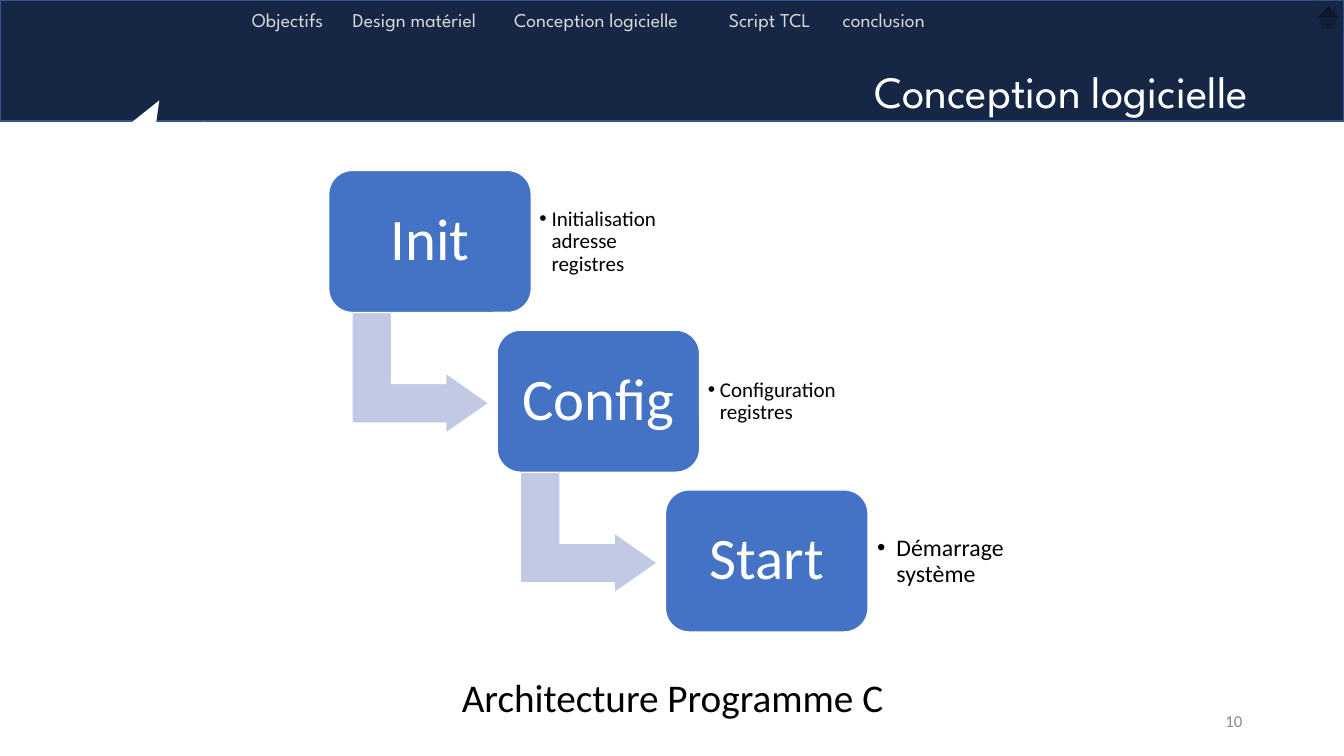
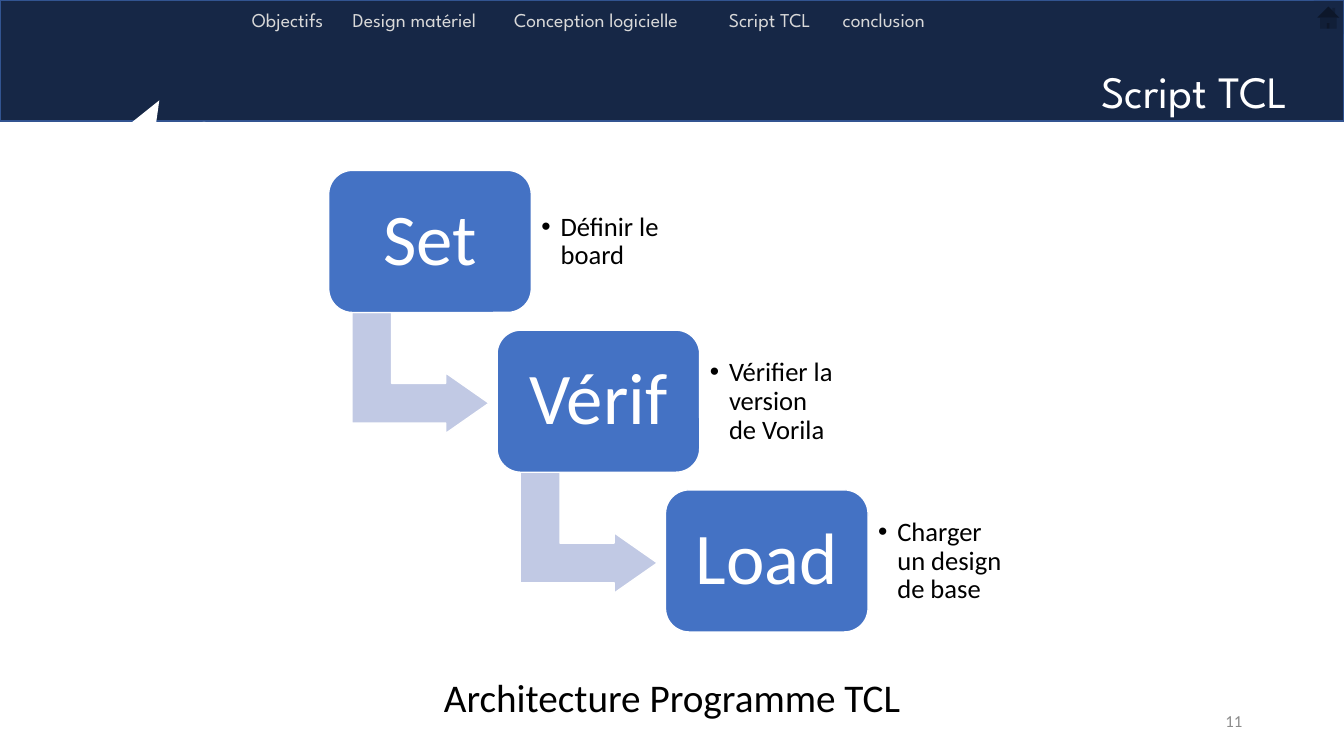
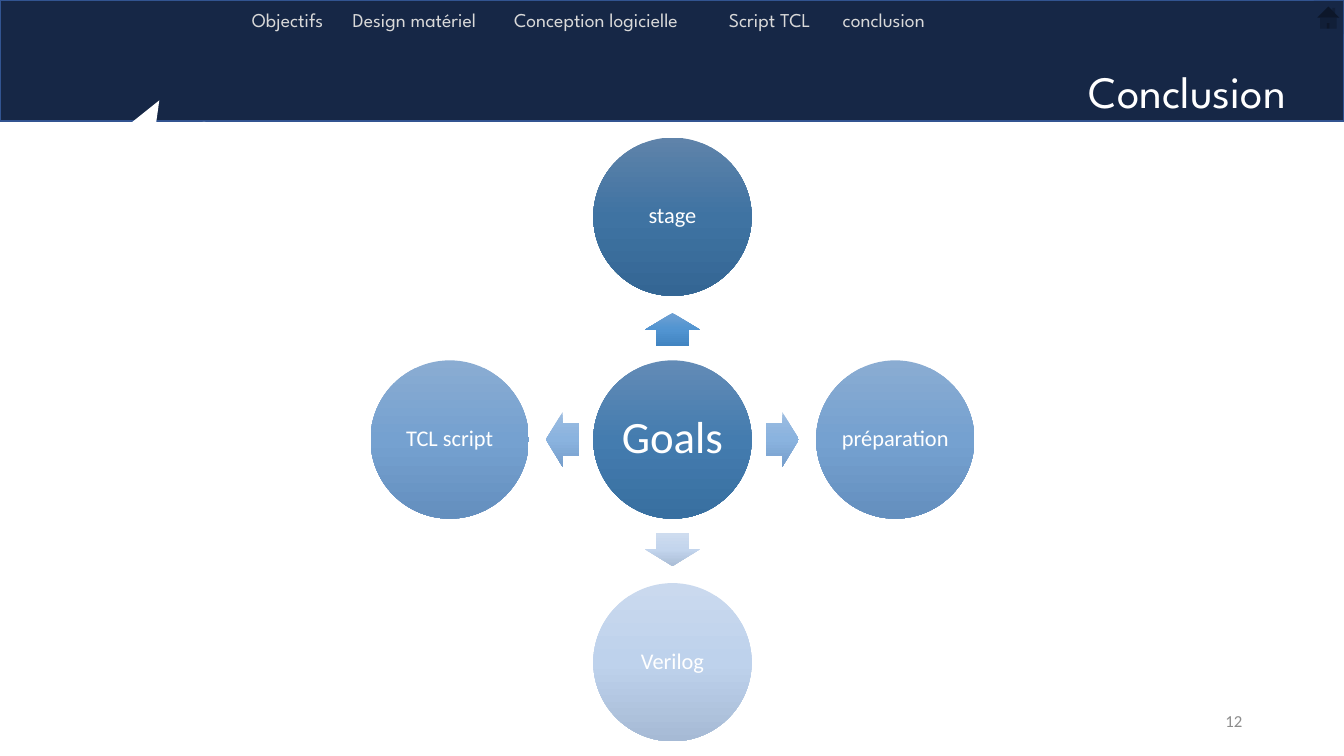
import copy

import lxml.etree
import pptx
import pptx.dml.color
import pptx.enum.shapes
import pptx.enum.text
import pptx.oxml.ns
import pptx.util

Inches = pptx.util.Inches
SHAPES = pptx.enum.shapes.MSO_SHAPE
ANCHOR = pptx.enum.text.MSO_ANCHOR
ALIGN = pptx.enum.text.PP_ALIGN
AUTO_SIZE = pptx.enum.text.MSO_AUTO_SIZE

COLORS = {
    "navy": "162746",
    "band_line": "325491",
    "white": "FFFFFF",
    "black": "000000",
    "menu": "D9D9D9",
    "number": "8C8C8C",
    "step": "4472C4",
    "bend": "C1C9E4",
}
GRADIENTS = {
    "hub": ("638BB6", "447CAF", "386FA0"),
    "top": ("5F83AA", "3F73A2", "346694"),
    "side": ("8AACD2", "75A1D0", "648FBE"),
    "bottom": ("CAD9EE", "BED2EC", "A6BAD5"),
    "top_arrow": ("6EA0D2", "5194D1", "4184C1"),
    "side_arrow": ("9CBCE0", "8AB3DF", "769ECB"),
    "bottom_arrow": ("CEDCEF", "C3D5ED", "AABDD6"),
}
TITLE_FONT = "League Spartan"
BODY_FONT = "Calibri"
MENU = [
    ("Objectifs", 2.4, 1.06),
    ("Design matériel", 3.4, 1.7),
    ("Conception logicielle", 5, 2.21),
    ("Script TCL", 7.13, 1.21),
    ("conclusion", 8.26, 1.24),
]
FREE_TEXT = {"word_wrap": False, "auto_size": AUTO_SIZE.SHAPE_TO_FIT_TEXT,
             "vertical_anchor": ANCHOR.TOP}


def rgb(value):
    return pptx.dml.color.RGBColor.from_string(value)


def apply(target, values):
    for name, value in values.items():
        setattr(target, name, value)


def place(shape, left, top, width, height):
    box = {"left": left, "top": top, "width": width, "height": height}
    apply(shape, {name: Inches(value) for name, value in box.items()})


def write(shape, text, size, color, font=BODY_FONT, align=ALIGN.LEFT,
          spacing=1.0, inset=None, frame_format=FREE_TEXT):
    frame = shape.text_frame
    frame.text = text
    apply(frame, frame_format)
    if inset is not None:
        sides = ("left", "top", "right", "bottom")
        apply(frame, {f"margin_{side}": Inches(inset) for side in sides})
    paragraph = frame.paragraphs[0]
    apply(paragraph, {"alignment": align, "line_spacing": spacing,
                      "space_before": pptx.util.Pt(0)})
    run_font = paragraph.runs[0].font
    apply(run_font, {"name": font, "size": pptx.util.Pt(size), "bold": False})
    run_font.color.rgb = rgb(COLORS[color])
    return paragraph


def set_bullet(paragraph, indent, character=None):
    properties = paragraph._p.get_or_add_pPr()
    properties.set("marL", str(Inches(indent)))
    properties.set("indent", str(-Inches(indent)))
    tag = pptx.oxml.ns.qn("a:buChar" if character else "a:buNone")
    bullet = lxml.etree.SubElement(properties, tag)
    if character:
        bullet.set("char", character)


def add_text(slide, box, text, size, color, **options):
    text_box = slide.shapes.add_textbox(*map(Inches, box))
    write(text_box, text, size, color, **options)


def add_shape(slide, kind, box, fill=None, line=None, adjustments=(), rotation=0):
    shape = slide.shapes.add_shape(kind, *map(Inches, box))
    apply(shape, {"rotation": rotation})
    shape.shadow.inherit = False
    for index, value in enumerate(adjustments):
        shape.adjustments[index] = value
    if fill:
        shape.fill.solid()
        shape.fill.fore_color.rgb = rgb(COLORS[fill])
    if line:
        shape.line.color.rgb = rgb(COLORS[line])
        shape.line.width = pptx.util.Pt(1)
    else:
        shape.line.fill.background()
    return shape


def fill_gradient(shape, name):
    shape.fill.gradient()
    shape.fill.gradient_angle = 270
    stops = next(shape._element.spPr.iter(pptx.oxml.ns.qn("a:gsLst")))
    stops.append(copy.deepcopy(stops[0]))
    for index, stop in enumerate(shape.fill.gradient_stops):
        stop.position = index / 2
        stop.color.rgb = rgb(GRADIENTS[name][index])


def add_header(slide, title, left, width):
    add_shape(slide, SHAPES.ROUNDED_RECTANGLE, (0, 0, 13.33, 1.2),
              "navy", "band_line", (0,))
    heading = slide.shapes.title
    slide.shapes._spTree.append(heading._element)
    place(heading, left, 0.58, width, 0.64)
    write(heading, title, 32, "white", font=TITLE_FONT)
    for label, label_left, label_width in MENU:
        add_text(slide, (label_left, 0.03, label_width, 0.34), label, 14, "menu",
                 font=TITLE_FONT)
    add_shape(slide, SHAPES.ROUNDED_RECTANGULAR_CALLOUT, (1.1, 1.23, 1.15, 1.2),
              "white", adjustments=(0.042, 0.699, 0.167), rotation=176.8)
    add_shape(slide, SHAPES.ACTION_BUTTON_HOME, (13.03, 0.01, 0.29, 0.33), "navy")


def add_number(slide, number):
    add_text(slide, (9.42, 6.95, 3, 0.4), str(number), 12, "number", align=ALIGN.RIGHT,
             frame_format={"word_wrap": True, "vertical_anchor": ANCHOR.MIDDLE})


def add_steps(slide, box, steps, name_size, name_inset):
    left, top, width, height = box
    step_width, step_height = 2.01, 1.41
    pitch_x = (width - step_width) / (len(steps) - 1)
    pitch_y = (height - step_height) / (len(steps) - 1)
    for index, (name, detail, size, inset, indent) in enumerate(steps):
        x, y = left + index * pitch_x, top + index * pitch_y
        if index < len(steps) - 1:
            add_shape(slide, SHAPES.BENT_UP_ARROW, (x + 0.31, y + 1.33, 1.2, 1.36),
                      "bend", "white", (0.328, 0.25, 0.358), 90)
        step = add_shape(slide, SHAPES.ROUNDED_RECTANGLE, (x, y, step_width, step_height),
                         "step", "white", (0.167,))
        write(step, name, name_size, "white", align=ALIGN.CENTER, spacing=0.9,
              inset=name_inset,
              frame_format={"word_wrap": False, "vertical_anchor": ANCHOR.MIDDLE})
        body = slide.placeholders[index + 1]
        place(body, x + step_width, y + 0.14, 1.47, 1.14)
        paragraph = write(body, detail, size, "black", spacing=0.9, inset=inset,
                          frame_format={"word_wrap": True, "auto_size": AUTO_SIZE.NONE,
                                        "vertical_anchor": ANCHOR.MIDDLE})
        set_bullet(paragraph, indent, "•")


def add_caption(slide, text, left, width):
    caption = slide.placeholders[4]
    place(caption, left, 6.63, width, 0.57)
    set_bullet(write(caption, text, 28, "black", align=ALIGN.CENTER), 0)


def add_circle(slide, center_x, center_y, text, size, inset, gradient):
    diameter = 1.57
    circle = add_shape(slide, SHAPES.OVAL, (center_x - diameter / 2,
                       center_y - diameter / 2, diameter, diameter))
    fill_gradient(circle, gradient)
    write(circle, text, size, "white", align=ALIGN.CENTER, spacing=0.9, inset=inset,
          frame_format={"word_wrap": False, "vertical_anchor": ANCHOR.MIDDLE})


def add_goals(slide, center_x, center_y, hub, goals):
    add_circle(slide, center_x, center_y, hub, 32, 0.04, "hub")
    for text, kind, step_x, step_y, gradient in goals:
        width, height = (0.33, 0.54) if step_x else (0.54, 0.33)
        arrow = add_shape(slide, kind, (center_x + 1.09 * step_x - width / 2,
                          center_y + 1.09 * step_y - height / 2, width, height),
                          adjustments=(0.6, 0.5))
        fill_gradient(arrow, gradient + "_arrow")
        add_circle(slide, center_x + 2.21 * step_x, center_y + 2.21 * step_y,
                   text, 16, 0.02, gradient)


def build_steps_slide(presentation, number, title, title_box, caption, caption_box,
                      steps, name_size, name_inset):
    slide = presentation.slides.add_slide(presentation.slide_layouts[4])
    add_number(slide, number)
    add_header(slide, title, *title_box)
    add_steps(slide, (3.26, 1.69, 5.35, 4.58), steps, name_size, name_inset)
    add_caption(slide, caption, *caption_box)


def build_goals_slide(presentation, number, title, title_box, hub, goals):
    slide = presentation.slides.add_slide(presentation.slide_layouts[5])
    add_number(slide, number)
    add_header(slide, title, *title_box)
    add_goals(slide, 6.67, 4.36, hub, goals)


def main():
    presentation = pptx.Presentation()
    presentation.slide_width = Inches(13.33)
    presentation.slide_height = Inches(7.5)
    build_steps_slide(
        presentation, 10, "Conception logicielle", (8.57, 4.78),
        "Architecture Programme C", (4.36, 4.62),
        [("Init", "Initialisation adresse registres", 15, 0.08, 0.12),
         ("Config", "Configuration registres", 15, 0.08, 0.12),
         ("Start", "Démarrage système", 17, 0.09, 0.19)], 42, 0.17)
    build_steps_slide(
        presentation, 11, "Script TCL", (10.82, 2.51),
        "Architecture Programme TCL", (4.16, 5.01),
        [("Set", "Définir le board", 19, 0.1, 0.19),
         ("Vérif", "Vérifier la version de Vorila", 19, 0.1, 0.19),
         ("Load", "Charger un design de base", 19, 0.1, 0.19)], 52, 0.22)
    build_goals_slide(
        presentation, 12, "Conclusion", (10.7, 2.63), "Goals",
        [("stage", SHAPES.UP_ARROW, 0, -1, "top"),
         ("préparation", SHAPES.RIGHT_ARROW, 1, 0, "side"),
         ("Verilog", SHAPES.DOWN_ARROW, 0, 1, "bottom"),
         ("TCL script", SHAPES.LEFT_ARROW, -1, 0, "side")])
    presentation.save("out.pptx")


if __name__ == "__main__":
    main()
